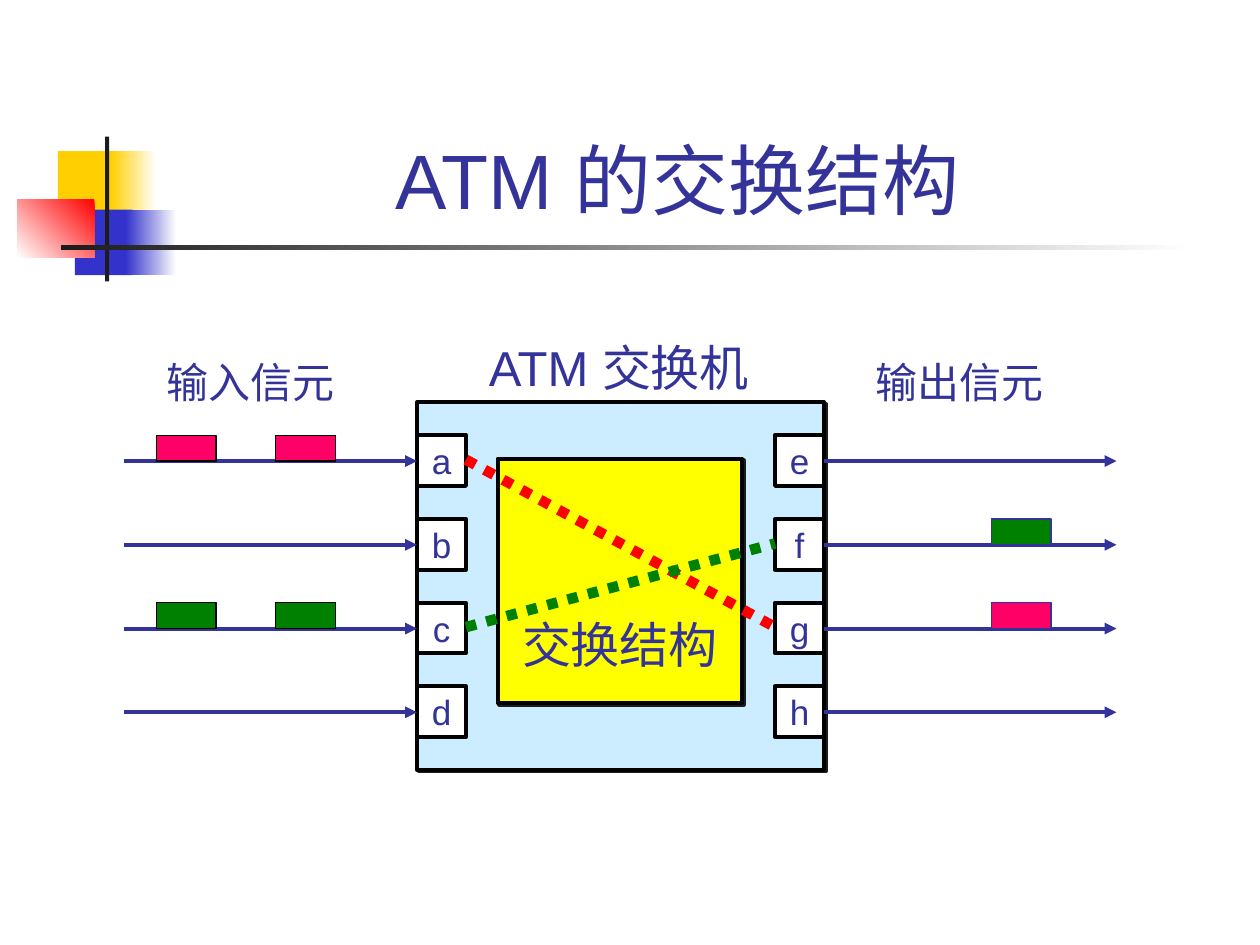
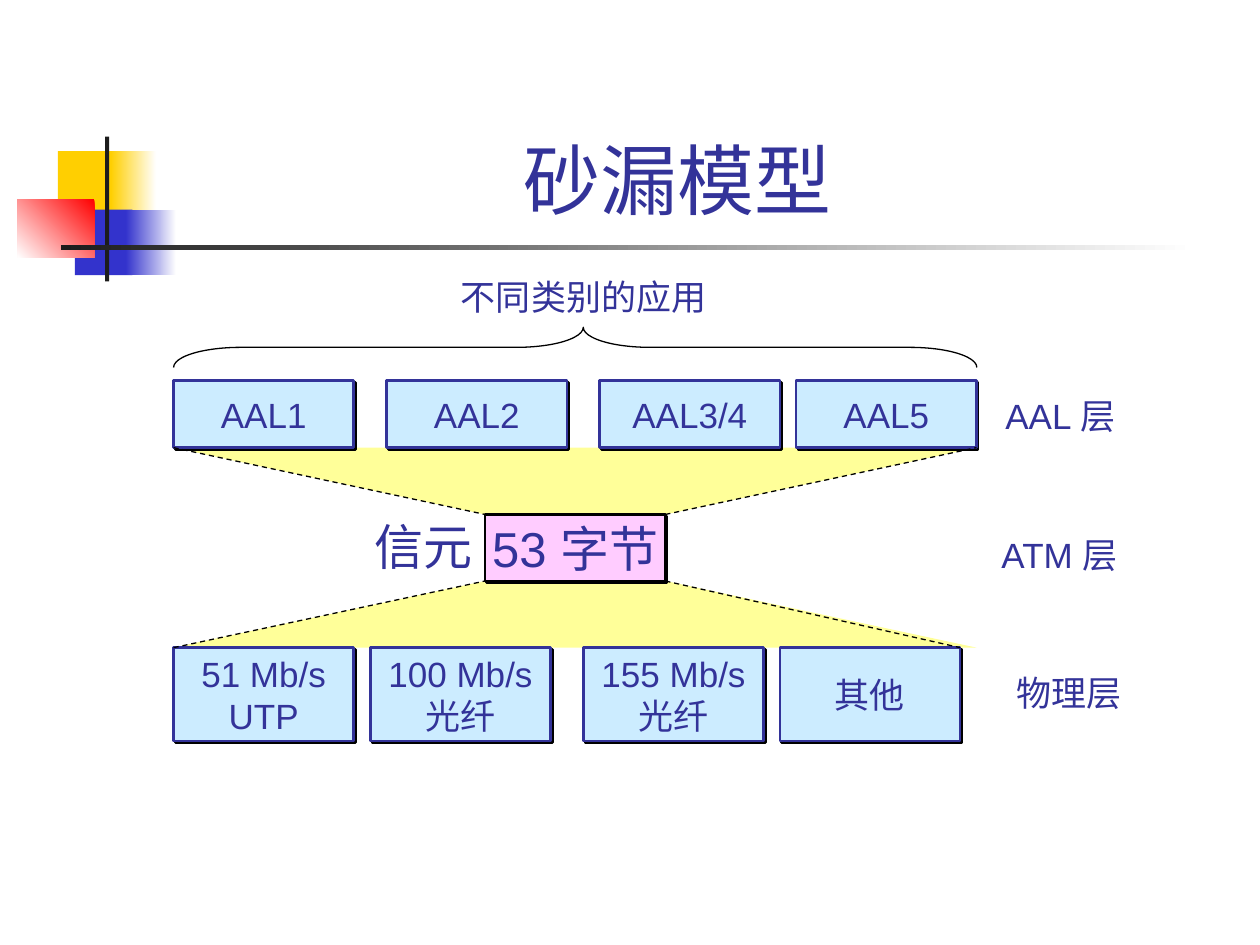
from lxml import etree
from pptx import Presentation
from pptx.dml.color import RGBColor
from pptx.enum.dml import MSO_LINE
from pptx.enum.shapes import MSO_CONNECTOR, MSO_SHAPE
from pptx.enum.text import MSO_ANCHOR, MSO_AUTO_SIZE, PP_ALIGN
from pptx.oxml.ns import qn
from pptx.util import Pt

RECT, BRACE = MSO_SHAPE.RECTANGLE, MSO_SHAPE.LEFT_BRACE
STRAIGHT = MSO_CONNECTOR.STRAIGHT
DASH, DOTS = MSO_LINE.DASH, MSO_LINE.ROUND_DOT
LEFT, CENTER = PP_ALIGN.LEFT, PP_ALIGN.CENTER
TOP, MIDDLE, BOTTOM = MSO_ANCHOR.TOP, MSO_ANCHOR.MIDDLE, MSO_ANCHOR.BOTTOM
NO_AUTOFIT, GROW = MSO_AUTO_SIZE.NONE, MSO_AUTO_SIZE.SHAPE_TO_FIT_TEXT
TITLE_ONLY = 5
FONT = "Arial"
COLORS = {
    "ink": "333399", "black": "000000", "white": "FFFFFF", "charcoal": "1C1C1C",
    "gold": "FFCF01", "blue": "3333CC", "red": "FF0000", "green": "008000",
    "pink": "FF0066", "sky": "CCECFF", "yellow": "FFFF00", "sand": "FFFF99",
    "rose": "FFCCFF",
}


def rgb(name):
    return RGBColor.from_string(COLORS[name])


def write(tf, text, size=20, color="ink", align=CENTER, anchor=MIDDLE, wrap=False):
    tf.word_wrap = wrap
    tf.vertical_anchor = anchor
    for i, line in enumerate(text.split("\n")):
        p = tf.paragraphs[0] if i == 0 else tf.add_paragraph()
        p.alignment = align
        r = p.add_run()
        r.text = line
        r.font.name = FONT
        r.font.size = Pt(size)
        r.font.color.rgb = rgb(color)


def set_fill(sp, color):
    if color:
        sp.fill.solid()
        sp.fill.fore_color.rgb = rgb(color)
    else:
        sp.fill.background()


def set_line(sp, color, width):
    if color:
        sp.line.color.rgb = rgb(color)
        sp.line.width = Pt(width)
    else:
        sp.line.fill.background()


def add_shadow(sp, color):
    effects = sp.element.spPr.find(qn("a:effectLst"))
    shadow = etree.SubElement(effects, qn("a:outerShdw"), dist=str(Pt(1.4)),
                              dir="2700000", algn="ctr", rotWithShape="0")
    etree.SubElement(shadow, qn("a:srgbClr"), val=COLORS[color])


def add_box(s, x, y, w, h, fill=None, line=None, width=0.75, shadow=None, kind=RECT):
    sp = s.shapes.add_shape(kind, Pt(x), Pt(y), Pt(w), Pt(h))
    sp.shadow.inherit = False
    set_fill(sp, fill)
    set_line(sp, line, width)
    if shadow:
        add_shadow(sp, shadow)
    return sp


def add_fade(s, x, y, w, h, color, angle=0):
    sp = add_box(s, x, y, w, h)
    sp.fill.gradient()
    sp.fill.gradient_angle = angle
    for stop, name in zip(sp.fill.gradient_stops, (color, "white")):
        stop.color.rgb = rgb(name)


def add_label(s, x, y, w, h, text, size=20):
    tf = s.shapes.add_textbox(Pt(x), Pt(y), Pt(w), Pt(h)).text_frame
    write(tf, text, size=size, align=LEFT, anchor=TOP)
    tf.auto_size = GROW


def add_line(s, start, end, color, width, dash=None, arrow=False):
    ends = [Pt(v) for v in (*start, *end)]
    connector = s.shapes.add_connector(STRAIGHT, *ends)
    set_line(connector, color, width)
    if dash:
        connector.line.dash_style = dash
    spPr = connector.element.spPr
    if arrow:
        etree.SubElement(spPr.find(qn("a:ln")), qn("a:tailEnd"), type="triangle")
    etree.SubElement(spPr, qn("a:effectLst"))


def add_polygon(s, points, fill):
    corners = [(Pt(x), Pt(y)) for x, y in points]
    builder = s.shapes.build_freeform(*corners[0])
    builder.add_line_segments(corners[1:], close=True)
    sp = builder.convert_to_shape()
    sp.shadow.inherit = False
    set_fill(sp, fill)
    set_line(sp, None, 0)


def add_backdrop(s):
    add_box(s, 33.1, 86.4, 34.6, 37.4, "gold")
    add_fade(s, 63.4, 86.4, 25.9, 37.4, "gold")
    add_box(s, 42.8, 119.8, 32.8, 37.4, "blue")
    add_fade(s, 72, 119.8, 28.8, 37.4, "blue")
    add_fade(s, 10, 113.8, 44, 33.4, "red", angle=225)
    add_box(s, 60, 78, 2.4, 82.8, "charcoal")
    add_fade(s, 34.8, 140, 648, 2.8, "charcoal")


def add_slide(prs, title):
    s = prs.slides.add_slide(prs.slide_layouts[TITLE_ONLY])
    add_backdrop(s)
    sp = s.shapes.title
    sp.left, sp.top, sp.width, sp.height = Pt(72.5), Pt(17.2), Pt(639.4), Pt(115.2)
    write(sp.text_frame, title, size=44, anchor=BOTTOM, wrap=True)
    sp.text_frame.auto_size = NO_AUTOFIT
    return s


def add_switch_slide(prs):
    s = add_slide(prs, "ATM 的交换结构 ")
    rows = [263.5 + 47.84 * i for i in range(4)]
    left, right, port, cell_height = 238.3, 470.9, 28, 14.8
    add_label(s, 272.2, 189.4, 171.4, 41, "ATM 交换机", size=28)
    add_box(s, left, 229.7, right - left, 210.2, "sky", "black", 2.25, "charcoal")
    for x, names in ((left, "abcd"), (right - port, "efgh")):
        for y, name in zip(rows, names):
            sp = add_box(s, x, y - 14.8, port, 29, "white", "black", 2.25)
            write(sp.text_frame, name)
    for start, end in ((70.6, left), (right, 638)):
        for y in rows:
            add_line(s, (start, y), (end, y), "ink", 2.25, arrow=True)
    fabric = add_box(s, 284.4, 262.1, 139.7, 139.7, "yellow", "black", 2.25, "charcoal")
    write(fabric.text_frame, "交换结构", size=28, anchor=BOTTOM)
    fabric.text_frame.margin_bottom = Pt(17)
    cells = ((89.3, 0, "pink", "black"), (157.5, 0, "pink", "black"),
             (566.4, 2, "pink", "ink"), (89.3, 2, "green", "black"),
             (157.5, 2, "green", "black"), (566.4, 1, "green", "ink"))
    for x, row, fill, line in cells:
        add_box(s, x, rows[row] - cell_height, 34.2, cell_height, fill, line)
    for x, text in ((88, "输入信元"), (493.2, "输出信元")):
        add_label(s, x, 200.2, 112, 36, text, size=24)
    for start_row, end_row, color in ((0, 2, "red"), (2, 1, "green")):
        add_line(s, (left + port, rows[start_row] - 0.8),
                 (right - port, rows[end_row] - 0.8), color, 6, DOTS)


def add_hourglass_slide(prs):
    s = add_slide(prs, "砂漏模型 ")
    left, right, box_width = 99.2, 558, 103
    neck_left, neck_right = 277.2, 380.2
    aal_top, aal_bottom, neck_top, neck_bottom, phy_top = 217.6, 255.8, 294, 332, 370.1
    for outer, inner in ((phy_top, neck_bottom), (aal_bottom, neck_top)):
        add_polygon(s, ((left, outer), (neck_left, inner),
                        (neck_right, inner), (right, outer)), "sand")
    add_label(s, 256.3, 154.1, 156, 31.7, "不同类别的应用")
    layers = (
        (aal_top, aal_bottom - aal_top,
         ((left, "AAL1"), (221, "AAL2"), (342.7, "AAL3/4"), (455, "AAL5"))),
        (phy_top, 53.3,
         ((left, "51 Mb/s\nUTP"), (211.7, "100 Mb/s\n光纤"),
          (333.4, "155 Mb/s\n光纤"), (445.7, "其他"))),
    )
    for y, height, boxes in layers:
        for x, text in boxes:
            sp = add_box(s, x, y, box_width, height, "sky", "ink", 1.5, "black")
            write(sp.text_frame, text)
    cell = add_box(s, neck_left, neck_top, box_width, neck_bottom - neck_top,
                   "rose", "black", 1.5, "black")
    write(cell.text_frame, "53 字节", size=28)
    edges = (((left, aal_bottom), (neck_left, neck_top)),
             ((left, phy_top), (neck_left, neck_bottom)),
             ((neck_right, neck_bottom), (548.7, phy_top)),
             ((neck_right, neck_top), (right, aal_bottom)))
    for start, end in edges:
        add_line(s, start, end, "black", 0.75, DASH)
    for x, y, width, text in ((567.4, 221.8, 84, "AAL 层"),
                              (565.2, 301.3, 88, "ATM 层"),
                              (573.6, 380.4, 78, "物理层")):
        add_label(s, x, y, width, 31.7, text)
    brace = add_box(s, 317.2, -31, 23, 459, line="black", kind=BRACE)
    brace.rotation = 90
    brace.adjustments[0] = 1.66
    brace.adjustments[1] = 0.49
    add_label(s, 206.8, 291.6, 74, 41, "信元", size=28)


def main():
    prs = Presentation()
    prs.slide_width, prs.slide_height = Pt(720), Pt(540)
    add_switch_slide(prs)
    add_hourglass_slide(prs)
    prs.save("out.pptx")


if __name__ == "__main__":
    main()
